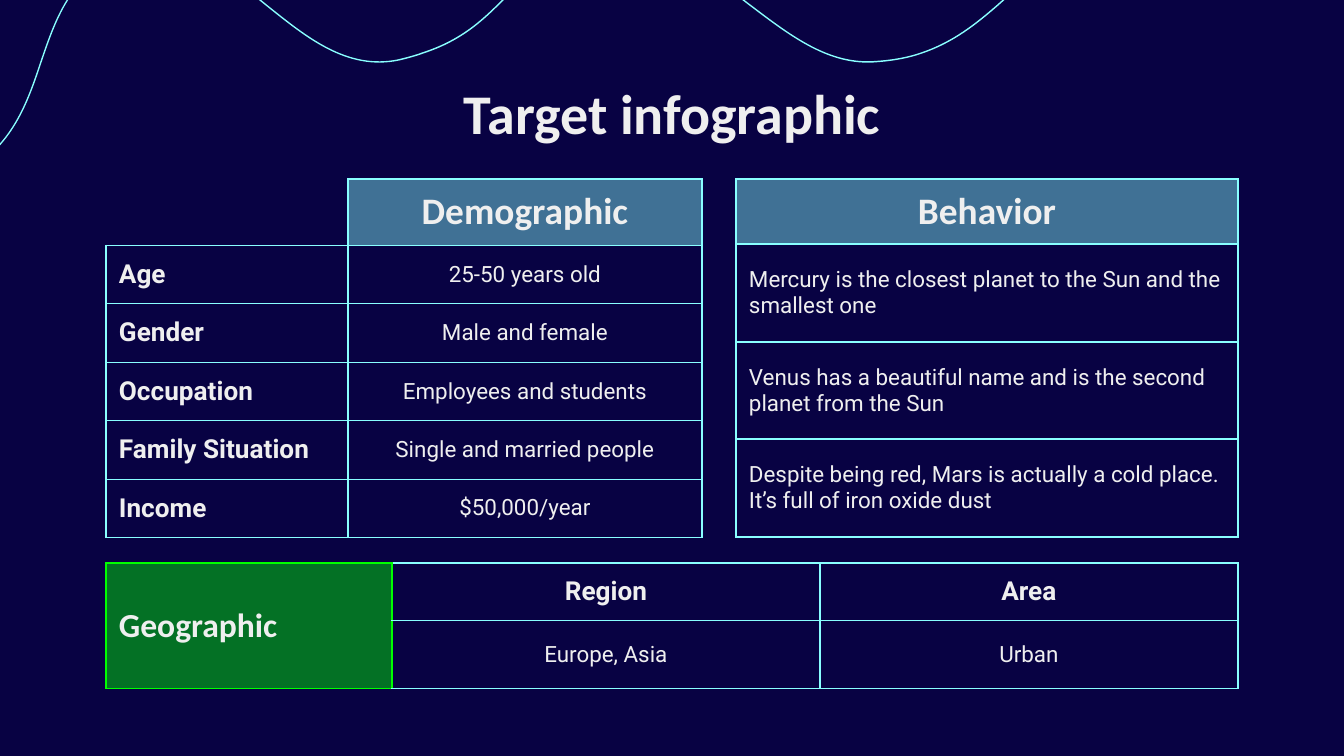
import math
from dataclasses import dataclass, replace
from itertools import chain

from lxml import etree
from pptx import Presentation
from pptx import util as u
from pptx.dml import color
from pptx.enum import text
from pptx.oxml import ns

PX = 9144000 / 1344
COLORS = {"navy": "080243", "cyan": "89FFFF", "green": "00FF00", "light": "EFEFEF"}
SIDES = "LRTB"
WAVE_TILT = -18.6
WAVE_CENTER = (395, 47)
WAVE_HALF_WIDTH = 0.7
WAVE = [
    (-262, 202),
    (-211, 185), (-177, 189), (-146, 191),
    (-120, 192), (-95, 196), (-64, 185),
    (-55, 182), (-46, 178), (-36, 173),
    (12, 147), (27, 104), (41, 62),
    (57, 15), (72, -28), (127, -46),
    (181, -65), (223, -30), (266, 5),
    (306, 37), (347, 71), (399, 60),
    (407, 58), (415, 56), (423, 53),
    (463, 40), (484, 19), (505, -2),
    (523, -21), (542, -40), (575, -50),
    (581, -53), (589, -54), (596, -56),
    (655, -68), (702, -32), (747, 3),
    (788, 34), (826, 64), (872, 62),
    (891, 61), (908, 58), (922, 53),
    (954, 42), (976, 24), (998, 5),
    (1019, -14), (1042, -33), (1073, -44),
]


@dataclass(frozen=True)
class Cell:
    text: str = ""
    size: int = 12
    bold: bool = False
    font: str = "Roboto"
    center: bool = False
    fill: str = "navy"
    edge: str = "cyan"
    left_edge: str = ""
    sides: str = SIDES
    pad: int = 13


@dataclass(frozen=True)
class Grid:
    x: int
    y: int
    cols: list[int]
    rows: list[int]
    cells: list[list[Cell]]


def px(n: float) -> u.Emu:
    return u.Emu(round(n * PX))


def rgb(name: str) -> color.RGBColor:
    return color.RGBColor.from_string(COLORS[name])


def header(label: str) -> Cell:
    return Cell(label, 20, True, "Calibri", True, "cyan", pad=9)


def label(name: str, center: bool = False) -> Cell:
    return Cell(name, 14, True, center=center)


def value(words: str) -> Cell:
    return Cell(words, center=True)


def style_text(p, size: int, font: str, bold: bool, center: bool) -> None:
    p.alignment = text.PP_ALIGN.CENTER if center else text.PP_ALIGN.LEFT
    for r in p.runs:
        r.font.size = u.Pt(size)
        r.font.name = font
        r.font.bold = bold
        r.font.color.rgb = rgb("light")


def add_borders(tc_pr, cell: Cell) -> None:
    for i, side in enumerate(SIDES):
        ln = etree.Element(ns.qn(f"a:ln{side}"), w=str(u.Pt(0.75)))
        if side in cell.sides:
            name = cell.left_edge if side == "L" and cell.left_edge else cell.edge
            fill = etree.SubElement(ln, ns.qn("a:solidFill"))
            etree.SubElement(fill, ns.qn("a:srgbClr"), val=COLORS[name])
        else:
            etree.SubElement(ln, ns.qn("a:noFill"))
        tc_pr.insert(i, ln)


def fill_cell(c, cell: Cell) -> None:
    c.vertical_anchor = text.MSO_ANCHOR.MIDDLE
    c.margin_left = c.margin_right = px(13)
    c.margin_top = c.margin_bottom = px(cell.pad)
    if cell.fill:
        c.fill.solid()
        c.fill.fore_color.rgb = rgb(cell.fill)
        clr = c._tc.tcPr.find(".//" + ns.qn("a:srgbClr"))
        etree.SubElement(clr, ns.qn("a:alpha"), val="44000")
    else:
        c.fill.background()
    add_borders(c._tc.tcPr, cell)
    if cell.text:
        c.text_frame.text = cell.text
        style_text(c.text_frame.paragraphs[0], cell.size, cell.font, cell.bold, cell.center)


def draw_grid(s, grid: Grid):
    tbl = s.shapes.add_table(len(grid.rows), len(grid.cols), px(grid.x), px(grid.y),
                             px(sum(grid.cols)), px(sum(grid.rows))).table
    tbl.first_row = tbl.horz_banding = False
    for col, width in zip(tbl.columns, grid.cols):
        col.width = px(width)
    for i, (row, height) in enumerate(zip(tbl.rows, grid.rows)):
        row.height = px(height)
        for c, cell in zip(row.cells, grid.cells[i]):
            fill_cell(c, cell)
    return tbl


def untilt(point: tuple[int, int]) -> tuple[float, float]:
    (x, y), (cx, cy) = point, WAVE_CENTER
    a = math.radians(-WAVE_TILT)
    dx, dy = x - cx, y - cy
    return (cx + dx * math.cos(a) - dy * math.sin(a),
            cy + dx * math.sin(a) + dy * math.cos(a))


def offset(points: list[tuple[float, float]], gap: float) -> list[tuple[int, int]]:
    moved = []
    for i, (x, y) in enumerate(points):
        (x0, y0), (x1, y1) = points[max(i - 1, 0)], points[min(i + 1, len(points) - 1)]
        d = math.hypot(x1 - x0, y1 - y0)
        moved.append((px(x - gap * (y1 - y0) / d), px(y + gap * (x1 - x0) / d)))
    return moved


def draw_wave(s) -> None:
    points = [untilt(p) for p in WAVE]
    outline = offset(points, -WAVE_HALF_WIDTH) + offset(points, WAVE_HALF_WIDTH)[::-1]
    fb = s.shapes.build_freeform(*outline[0])
    fb.add_line_segments(outline[1:], close=True)
    sp = fb.convert_to_shape()
    lines = list(sp._element.iter(ns.qn("a:lnTo")))
    n = len(WAVE)
    for i in chain(range(0, n - 1, 3), range(n, 2 * n - 1, 3)):
        lines[i].tag = ns.qn("a:cubicBezTo")
        for extra in lines[i + 1:i + 3]:
            lines[i].append(extra[0])
            extra.getparent().remove(extra)
    sp.rotation = WAVE_TILT
    sp.shadow.inherit = False
    sp.fill.solid()
    sp.fill.fore_color.rgb = rgb("cyan")
    sp.line.fill.background()


def draw_title(s, title: str) -> None:
    sp = s.shapes.add_textbox(px(106), px(66), px(1133), px(85))
    tf = sp.text_frame
    tf.word_wrap = True
    tf.margin_left = tf.margin_right = tf.margin_top = tf.margin_bottom = px(13)
    tf.text = title
    style_text(tf.paragraphs[0], 30, "Calibri", True, True)


def main() -> None:
    prs = Presentation()
    prs.slide_width, prs.slide_height = px(1344), px(756)
    s = prs.slides.add_slide(prs.slide_layouts[6])
    s.background.fill.solid()
    s.background.fill.fore_color.rgb = rgb("navy")
    draw_wave(s)
    draw_title(s, "Target infographic")

    people = [("Age", "25-50 years old"), ("Gender", "Male and female"),
              ("Occupation", "Employees and students"),
              ("Family Situation", "Single and married people"), ("Income", "$50,000/year")]
    draw_grid(s, Grid(106, 179, [242, 354], [65, 58, 59, 58, 59, 58],
                      [[Cell(fill="", sides="RB"), header("Demographic")]]
                      + [[label(k), value(v)] for k, v in people]))

    place = Cell("Geographic", 18, True, "Calibri", fill="green", edge="green")
    region, europe = (replace(c, left_edge="green")
                      for c in (label("Region", True), value("Europe, Asia")))
    tbl = draw_grid(s, Grid(106, 563, [286, 428, 418], [57, 68],
                            [[place, region, label("Area", True)],
                             [replace(place, text=""), europe, value("Urban")]]))
    tbl.cell(0, 0).merge(tbl.cell(1, 0))

    habits = ["Mercury is the closest planet to the Sun and the smallest one",
              "Venus has a beautiful name and is the second planet from the Sun",
              "Despite being red, Mars is actually a cold place. It’s full of iron oxide dust"]
    draw_grid(s, Grid(736, 179, [502], [65, 98, 97, 98],
                      [[header("Behavior")]] + [[Cell(h)] for h in habits]))
    prs.save("out.pptx")


if __name__ == "__main__":
    main()
